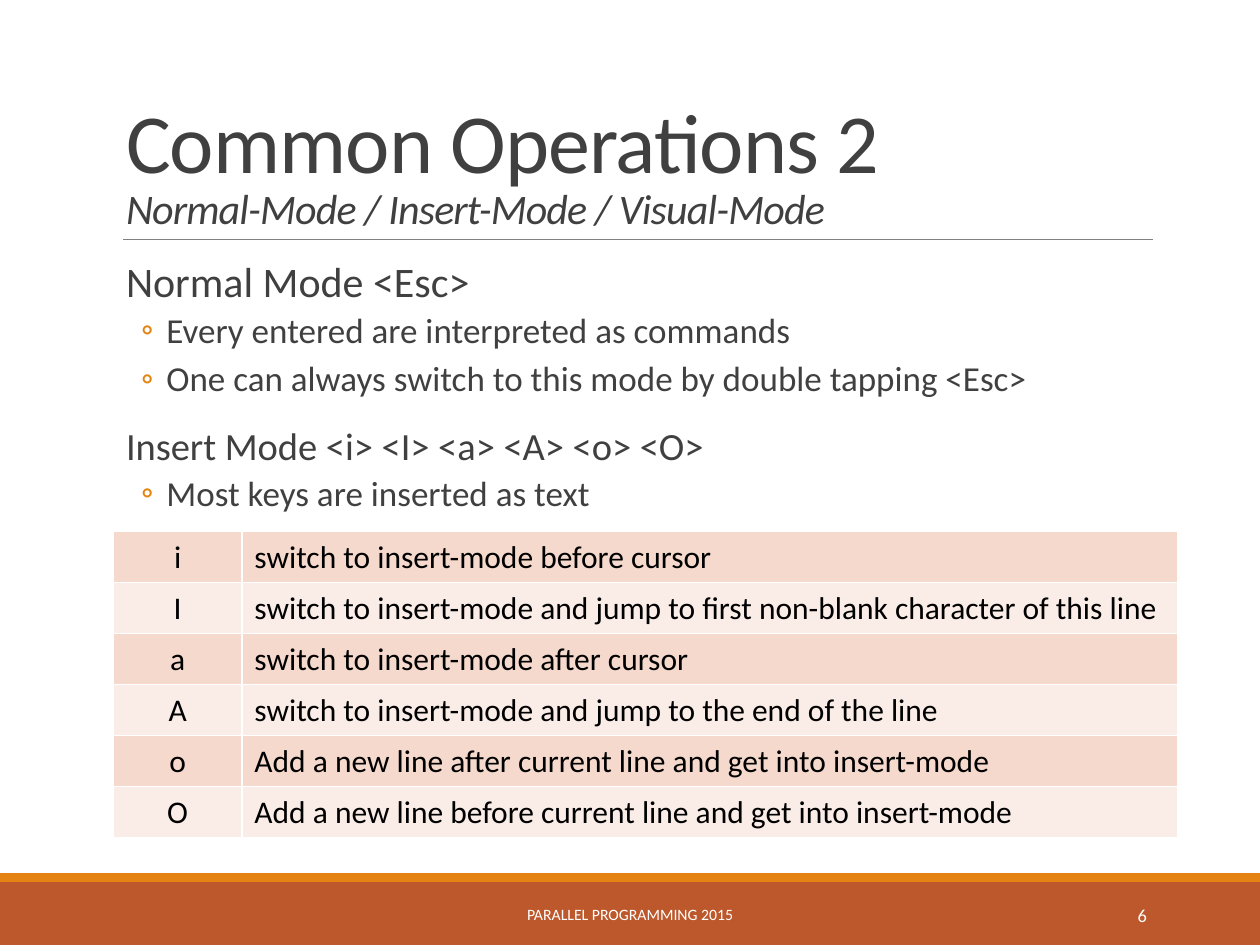
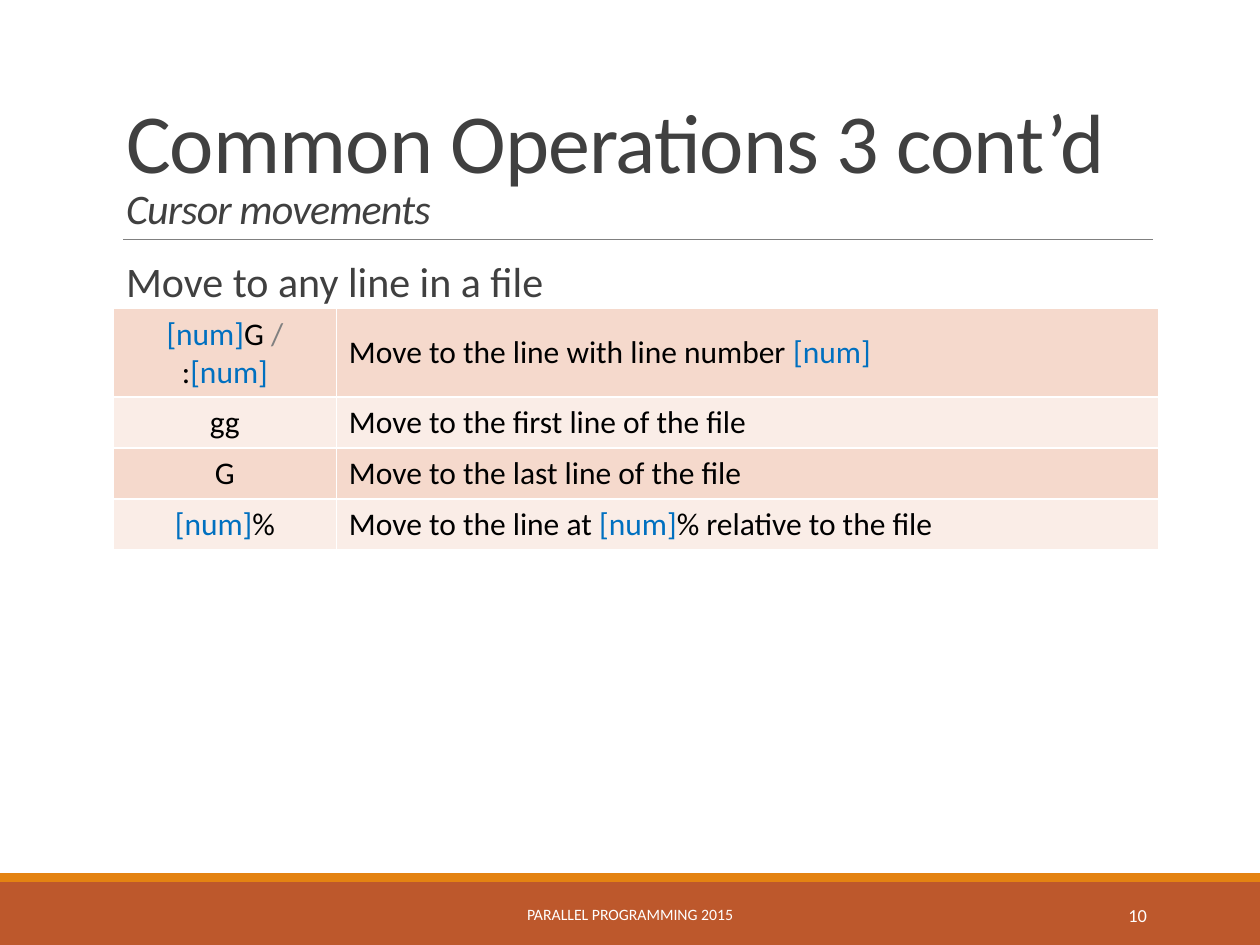
from lxml.etree import SubElement
from pptx import Presentation
from pptx.dml.color import RGBColor
from pptx.enum.shapes import MSO_CONNECTOR, MSO_SHAPE
from pptx.enum.text import MSO_ANCHOR, MSO_AUTO_SIZE, PP_ALIGN
from pptx.oxml.ns import qn
from pptx.util import Inches, Pt

COLOURS = {
    "rust": "BD582C",
    "orange": "E48312",
    "rule": "808080",
    "ink": "404040",
    "black": "000000",
    "white": "FFFFFF",
    "argument": "0070C0",
    "dark row": "F5D9CC",
    "light row": "FAEDE7",
}
PIECE_COLOURS = {"[num]": "argument", "/": "rule"}
BODY_LEVELS = [
    {"bullet": " ", "margin": 0.1, "hang": -0.1, "before": 12, "after": 2},
    {"bullet": "◦", "margin": 0.42, "hang": -0.2, "before": 2, "after": 4},
]
PAGES = [
    {
        "title": "Common Operations 2",
        "subtitle": "Normal-Mode / Insert-Mode / Visual-Mode",
        "number": "6",
        "body": [
            (0, 24, "Normal Mode <Esc>"),
            (1, 20, "Every entered are interpreted as commands"),
            (1, 20, "One can always switch to this mode by double tapping <Esc>"),
            (0, 22, "Insert Mode <i> <I> <a> <A> <o> <O>"),
            (1, 20, "Most keys are inserted as text"),
        ],
        "table top": 42.2,
        "columns": [10.2, 74.3],
        "rows": [4.05] * 6,
        "cells": [
            ("i", "switch to insert-mode before cursor"),
            ("I", "switch to insert-mode and jump to first non-blank character of this line"),
            ("a", "switch to insert-mode after cursor"),
            ("A", "switch to insert-mode and jump to the end of the line"),
            ("o", "Add a new line after current line and get into insert-mode"),
            ("O", "Add a new line before current line and get into insert-mode"),
        ],
    },
    {
        "title": "Common Operations 3 cont’d",
        "subtitle": "Cursor movements",
        "number": "10",
        "body": [(0, 24, "Move to any line in a file")],
        "table top": 24.5,
        "columns": [17.7, 65.3],
        "rows": [7] + [4.05] * 3,
        "cells": [
            ("[num]|G |/\n:|[num]", "Move to the line with line number |[num]"),
            ("gg", "Move to the first line of the file"),
            ("G", "Move to the last line of the file"),
            ("[num]|%", "Move to the line at |[num]|% relative to the file"),
        ],
    },
]

deck = Presentation()
deck.slide_width = Inches(10)
deck.slide_height = Inches(7.5)
UNIT = deck.slide_width / 100


def grid(*lengths):
    return [round(length * UNIT) for length in lengths]


def write(para, text, size=18, colour="black", italic=False, spacing=None, align=PP_ALIGN.LEFT):
    para.alignment = align
    span = para.add_run()
    span.text = text
    span.font.name = "Calibri"
    span.font.size = Pt(size)
    span.font.italic = italic
    span.font.color.rgb = RGBColor.from_string(COLOURS[colour])
    if spacing is not None:
        span.font._element.set("spc", str(spacing))


for content in PAGES:
    page = deck.slides.add_slide(deck.slide_layouts[1])
    page.background.fill.solid()
    page.background.fill.fore_color.rgb = RGBColor.from_string(COLOURS["white"])

    for colour, top, height in [("rust", 70, 5), ("orange", 69.3, 0.7)]:
        band = page.shapes.add_shape(MSO_SHAPE.RECTANGLE, *grid(0, top, 100, height))
        band.shadow.inherit = False
        band.fill.solid()
        band.fill.fore_color.rgb = RGBColor.from_string(COLOURS[colour])
        band.line.fill.background()

    rule = page.shapes.add_connector(MSO_CONNECTOR.STRAIGHT, *grid(9.8, 19, 91.5, 19))
    rule.line.color.rgb = RGBColor.from_string(COLOURS["rule"])
    rule.line.width = Pt(0.5)
    SubElement(rule._element.spPr, qn("a:effectLst"))

    title, body = page.placeholders
    title.left, title.top, title.width, title.height = grid(9, 3.1, 82.5, 15.9)
    body.left, body.top, body.width, body.height = grid(9, 20.2, 82.5, 44)
    for box, anchor in [(title, MSO_ANCHOR.BOTTOM), (body, MSO_ANCHOR.TOP)]:
        box.text_frame.auto_size = MSO_AUTO_SIZE.NONE
        box.text_frame.vertical_anchor = anchor
    body.text_frame.margin_left = body.text_frame.margin_right = 0

    para = title.text_frame.paragraphs[0]
    para.line_spacing = 0.85
    write(para, content["title"], size=48, colour="ink", spacing=-50)
    para.add_line_break()
    write(para, content["subtitle"], size=24, colour="ink", italic=True, spacing=-50)

    for index, (level, size, text) in enumerate(content["body"]):
        para = body.text_frame.add_paragraph() if index else body.text_frame.paragraphs[0]
        style = BODY_LEVELS[level]
        para.level = level
        para.line_spacing = 0.9
        para.space_before = Pt(style["before"] if index else 0)
        para.space_after = Pt(style["after"])
        properties = para._p.get_or_add_pPr()
        properties.set("marL", str(Inches(style["margin"])))
        properties.set("indent", str(Inches(style["hang"])))
        bullet_colour = SubElement(properties, qn("a:buClr"))
        SubElement(bullet_colour, qn("a:srgbClr"), val=COLOURS["orange"])
        SubElement(properties, qn("a:buFont"), typeface="Calibri")
        SubElement(properties, qn("a:buChar"), char=style["bullet"])
        write(para, text, size=size, colour="ink")

    for text, left, width, size, align in [
        ("PARALLEL PROGRAMMING 2015", 30.2, 39.6, 9, PP_ALIGN.CENTER),
        (content["number"], 81.2, 10.8, 10.5, PP_ALIGN.RIGHT),
    ]:
        box = page.shapes.add_textbox(*grid(left, 70.6, width, 4))
        box.text_frame.word_wrap = True
        box.text_frame.vertical_anchor = MSO_ANCHOR.MIDDLE
        write(box.text_frame.paragraphs[0], text, size=size, colour="white", align=align)

    columns, rows = content["columns"], content["rows"]
    frame = page.shapes.add_table(
        len(rows), len(columns), *grid(9, content["table top"], sum(columns), sum(rows))
    )
    table = frame.table
    table.first_row = table.horz_banding = False
    for column, width in zip(table.columns, grid(*columns)):
        column.width = width
    for row, height in zip(table.rows, grid(*rows)):
        row.height = height
    for row_index, texts in enumerate(content["cells"]):
        for column_index, text in enumerate(texts):
            cell = table.cell(row_index, column_index)
            cell.vertical_anchor = MSO_ANCHOR.MIDDLE
            for side in ["lnL", "lnR", "lnT", "lnB"]:
                border = SubElement(cell._tc.get_or_add_tcPr(), qn(f"a:{side}"), w=str(Pt(1)))
                border_fill = SubElement(border, qn("a:solidFill"))
                SubElement(border_fill, qn("a:srgbClr"), val=COLOURS["white"])
            shade = "light row" if row_index % 2 else "dark row"
            cell.fill.solid()
            cell.fill.fore_color.rgb = RGBColor.from_string(COLOURS[shade])
            align = PP_ALIGN.LEFT if column_index else PP_ALIGN.CENTER
            for index, line in enumerate(text.split("\n")):
                para = cell.text_frame.add_paragraph() if index else cell.text_frame.paragraphs[0]
                for piece in line.split("|"):
                    write(para, piece, colour=PIECE_COLOURS.get(piece, "black"), align=align)

deck.save("out.pptx")
